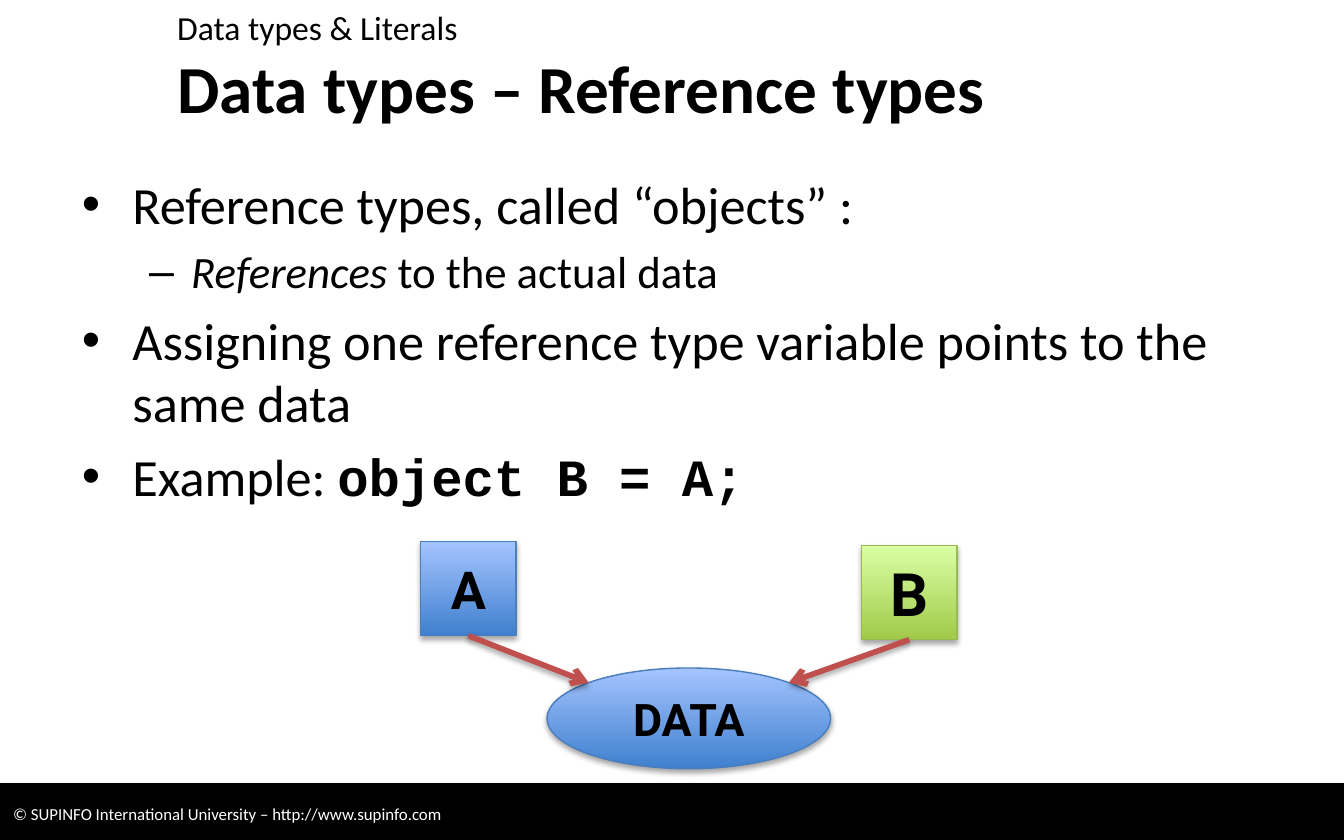
from lxml.etree import SubElement
from pptx import Presentation
from pptx.dml.color import RGBColor
from pptx.enum.shapes import MSO_CONNECTOR, MSO_SHAPE
from pptx.enum.text import MSO_ANCHOR, MSO_AUTO_SIZE, PP_ALIGN
from pptx.oxml.ns import qn
from pptx.util import Inches, Pt

BLACK = RGBColor(0x00, 0x00, 0x00)
WHITE = RGBColor(0xFF, 0xFF, 0xFF)
GRAY = RGBColor(0x80, 0x80, 0x80)
RED = RGBColor(0xC0, 0x50, 0x4D)
BLUE = (RGBColor(0x3F, 0x80, 0xCE), RGBColor(0xA4, 0xC4, 0xFF), RGBColor(0x4B, 0x7E, 0xBC))
GREEN = (RGBColor(0xA0, 0xCA, 0x4A), RGBColor(0xDA, 0xFF, 0xA5), RGBColor(0x98, 0xB9, 0x55))


class Deck:
    body = "Calibri"
    code = "Courier New"
    label = "Roboto"

    def __init__(self, wide, high):
        self.prs = Presentation()
        self.prs.slide_width, self.prs.slide_height = Inches(wide), Inches(high)
        self.slide = self.prs.slides.add_slide(self.prs.slide_layouts[1])
        self.shapes = self.slide.shapes

    def style(self, font, size, name=body, color=BLACK, bold=False):
        font.size, font.name, font.bold = Pt(size), name, bold
        font.color.rgb = color

    def place(self, shape, box):
        shape.left, shape.top, shape.width, shape.height = map(Inches, box)
        shape.text_frame.auto_size = MSO_AUTO_SIZE.NONE

    def shade(self, shape, color=BLACK):
        props = shape._element.spPr
        effects = SubElement(props, qn("a:effectLst"))
        outer = SubElement(effects, qn("a:outerShdw"), blurRad=str(Pt(3.1)),
                           dist=str(Pt(1.8)), dir="5400000", rotWithShape="0")
        tint = SubElement(outer, qn("a:srgbClr"), val=str(color))
        SubElement(tint, qn("a:alpha"), val="35000")

    def title(self, text, box):
        shape = self.shapes.title
        self.place(shape, box)
        frame = shape.text_frame
        frame.text = text
        frame.vertical_anchor = MSO_ANCHOR.MIDDLE
        para = frame.paragraphs[0]
        para.alignment = PP_ALIGN.LEFT
        self.style(para.font, 36, bold=True)

    def topic(self, text, box):
        shape = self.shapes.add_textbox(*map(Inches, box))
        frame = shape.text_frame
        frame.word_wrap = True
        frame.text = text
        self.style(frame.paragraphs[0].font, 18)

    def points(self, items, box):
        shape = self.slide.placeholders[1]
        self.place(shape, box)
        frame = shape.text_frame
        for i, (level, runs) in enumerate(items):
            para = frame.add_paragraph() if i else frame.paragraphs[0]
            para.level = level
            if not i:
                para.space_before = Pt(0)
            self.style(para.font, 24 if level else 28)
            for text, kind in runs:
                run = para.add_run()
                run.text = text
                if kind == "code":
                    run.font.name, run.font.bold = self.code, True
                elif kind == "italic":
                    run.font.italic = True

    def bar(self, text, box):
        shape = self.shapes.add_shape(MSO_SHAPE.RECTANGLE, *map(Inches, box))
        shape.fill.solid()
        shape.fill.fore_color.rgb = BLACK
        shape.line.color.rgb = BLACK
        shape.line.width = Pt(0.75)
        self.shade(shape, GRAY)
        shape.text_frame.text = text
        para = shape.text_frame.paragraphs[0]
        para.alignment = PP_ALIGN.LEFT
        self.style(para.font, 9, color=WHITE)

    def node(self, kind, text, box, colors, size):
        shape = self.shapes.add_shape(kind, *map(Inches, box))
        low, high, edge = colors
        shape.fill.gradient()
        shape.fill.gradient_angle = 90
        for stop, color in zip(shape.fill.gradient_stops, (low, high)):
            stop.color.rgb = color
        shape.line.color.rgb = edge
        shape.line.width = Pt(0.75)
        self.shade(shape)
        frame = shape.text_frame
        frame.text = text
        frame.vertical_anchor = MSO_ANCHOR.MIDDLE
        para = frame.paragraphs[0]
        para.alignment = PP_ALIGN.CENTER
        self.style(para.font, size, self.label, bold=True)
        return shape

    def arrow(self, source, end):
        x, y = map(Inches, end)
        line = self.shapes.add_connector(MSO_CONNECTOR.STRAIGHT, x, y, x, y)
        line.begin_connect(source, 2)
        line.end_x, line.end_y = x, y
        line.line.color.rgb = RED
        line.line.width = Pt(3)
        SubElement(line.line._get_or_add_ln(), qn("a:tailEnd"), type="arrow")
        self.shade(line)


def main():
    deck = Deck(10, 6.25)
    deck.bar("© SUPINFO International University – http://www.supinfo.com", (0, 5.83, 10, 0.45))
    deck.title("Data types – Reference types", (1.22, 0.37, 8.51, 0.55))
    deck.points([
        (0, [("Reference types, called “objects” :", "")]),
        (1, [("References", "italic"), (" to the actual data", "")]),
        (0, [("Assigning one reference type variable points to the same data", "")]),
        (0, [("Example: ", ""), ("object B = A;", "code")]),
    ], (0.51, 1.23, 9.06, 4.63))
    deck.topic("Data types & Literals", (1.22, 0, 8.51, 0.37))

    first = deck.node(MSO_SHAPE.RECTANGLE, "A", (3.13, 4.03, 0.71, 0.7), BLUE, 28)
    second = deck.node(MSO_SHAPE.RECTANGLE, "B", (6.41, 4.06, 0.71, 0.7), GREEN, 32)
    deck.node(MSO_SHAPE.OVAL, "DATA", (4.07, 4.97, 2.11, 0.75), BLUE, 24)
    deck.arrow(first, (4.38, 5.08))
    deck.arrow(second, (5.87, 5.08))
    deck.prs.save("out.pptx")


if __name__ == "__main__":
    main()
